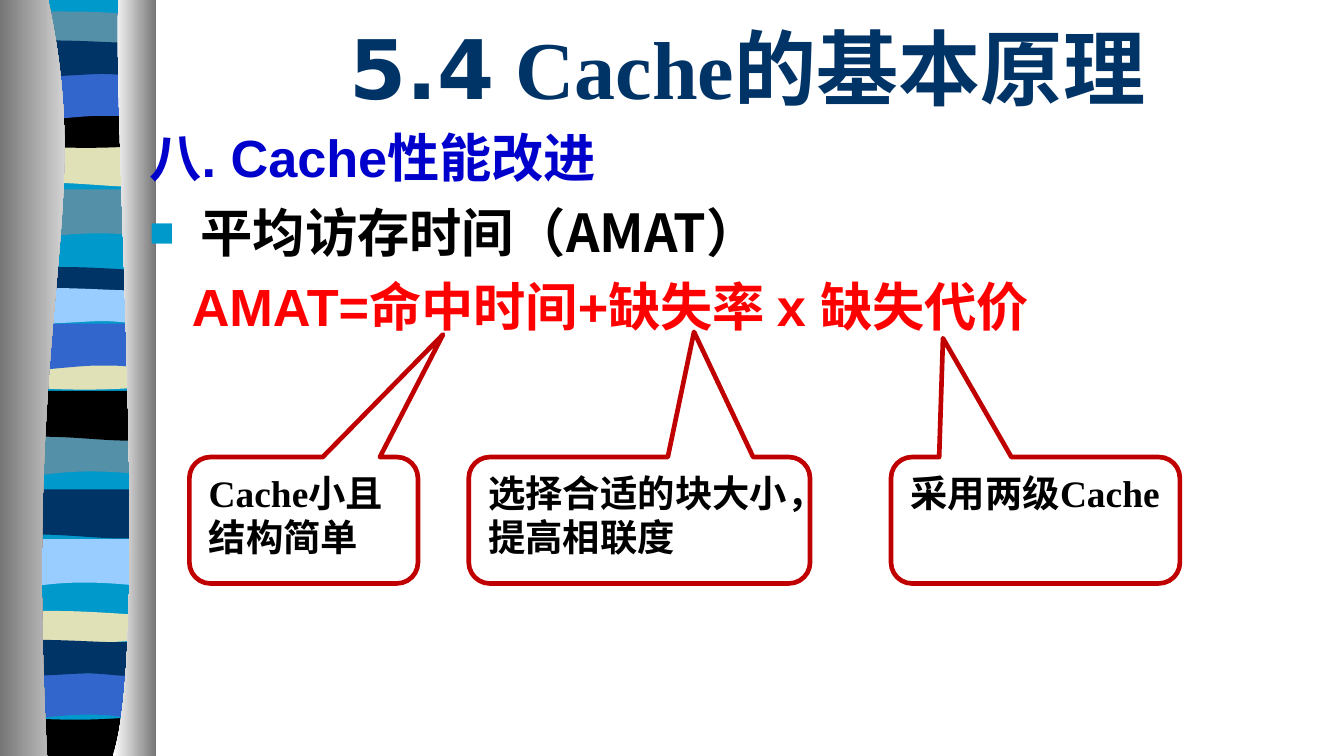
"""Build the slide on improving cache performance."""
from lxml.etree import SubElement
from pptx import Presentation
from pptx.dml.color import RGBColor
from pptx.enum.shapes import MSO_SHAPE
from pptx.enum.text import MSO_ANCHOR, MSO_AUTO_SIZE, PP_ALIGN
from pptx.oxml.ns import qn
from pptx.util import Cm, Pt

COLORS = {"cyan": "0099CC", "steel": "5490A8", "sand": "E1E1B7", "black": "000000",
          "royal": "3366CC", "navy": "003366", "sky": "99CCFF", "white": "FFFFFF",
          "gray": "767676", "blue": "0000CC", "red": "FF0000", "crimson": "C00000"}
WIDTH, HEIGHT = 25.4, 14.29
BAND_WIDTH = 2.44
CJK_FONT = "Noto Sans CJK SC"

TITLE = [("5.4", "DejaVu Sans"), (" Cache的基本原理", "Times New Roman")]
BODY = [
    {"text": "八. Cache性能改进", "font": "Arial", "color": "blue", "margin": 0,
     "before": 0, "spacing": 0.8},
    {"text": "平均访存时间（AMAT）", "font": CJK_FONT, "color": "black", "margin": 0.97,
     "before": 7, "spacing": 1.0, "bullet": "■"},
    {"text": "AMAT=命中时间+缺失率 x 缺失代价", "font": "Arial", "color": "red",
     "margin": 0.8, "before": 6, "spacing": 1.0},
]
CALLOUTS = [
    (3.58, 4.32, (0.61, -1.47), ["Cache小且", "结构简单"]),
    (8.86, 6.45, (0.16, -1.49), ["选择合适的块大小，", "提高相联度"]),
    (16.84, 5.46, (-0.32, -1.44), ["采用两级Cache"]),
]
FLAT_TOP = [[(1, 0)]]
FLAT_BOTTOM = [[(0, 0)]]
LIP_TOP = [[(0.61, 0.1), (0.79, 0), (1, 0)]]
EDGES = {
    "flat": (FLAT_TOP, FLAT_BOTTOM),
    "wave": (FLAT_TOP, [[(0.3, -0.18), (0.17, 0.13), (0, 0)]]),
    "dip": (FLAT_TOP, [[(0.83, 0.15), (0.34, -0.1), (0, 0)]]),
    "bulge": ([[(0.07, -0.1), (0.22, -0.08), (0.38, -0.08)],
               [(0.54, -0.08), (0.88, -0.03), (1, 0)]],
              [[(0.83, 0.08), (0.17, 0.08), (0, 0)]]),
    "lip": (LIP_TOP, [[(0.83, 0.1), (0.17, 0.1), (0, 0)]]),
    "base": (LIP_TOP, FLAT_BOTTOM),
    "arch": (FLAT_TOP, [[(0.84, -0.1), (0.78, -0.1), (0.61, -0.1)],
                        [(0.45, -0.1), (0.16, 0), (0, 0)]]),
    "drift": ([[(0.13, -0.1), (0.67, 0), (0.83, 0)], [(1.01, 0), (0.97, 0), (1, 0)]],
              [[(0.94, 0.1), (0.79, 0), (0.62, 0)], [(0.46, 0), (0.1, 0.1), (0, 0)]]),
}
BANDS = [
    ("flat", "cyan", 0.41, 0, 14.18),
    ("wave", "steel", 0.41, 3.58, 4.47), ("dip", "sand", 0.48, 2.59, 3.48),
    ("bulge", "steel", 0.48, 0.3, 0.76), ("lip", "black", 0.41, 2.11, 2.72),
    ("arch", "royal", 0.41, 1.37, 2.29), ("drift", "navy", 0.43, 0.81, 1.4),
    ("wave", "steel", 0.28, 8.08, 8.97), ("dip", "black", 0.38, 7.39, 8.28),
    ("bulge", "navy", 0.38, 5.13, 5.59), ("lip", "sand", 0.38, 6.68, 7.29),
    ("arch", "royal", 0.38, 6.12, 7.01), ("drift", "sky", 0.43, 5.49, 6.07),
    ("wave", "sky", 0.15, 10.19, 11.07), ("dip", "navy", 0.28, 9.25, 10.13),
    ("bulge", "sand", 0.2, 11.63, 12.09), ("base", "black", 0.25, 13.56, 14.29),
    ("arch", "royal", 0.1, 12.73, 13.61), ("drift", "navy", 0.15, 12.14, 12.73),
]
COLUMNS = [
    ((0.91, 0), [[(1.8, 4.11), (0.43, 5.64), (0.89, HEIGHT)], [(0, HEIGHT)], [(0, 0)]],
     ("gray", "white")),
    ((2.24, 0), [[(2.13, 2.36), (2.84, 12.32), (2.13, HEIGHT)], [(2.95, HEIGHT)],
                 [(2.95, 0)]], ("white", "gray")),
]


def rgb(name):
    return RGBColor.from_string(COLORS[name])


def add_outline(page, start, segments):
    """Draw one-point segments as lines and three-point segments as curves."""
    builder = page.shapes.build_freeform(Cm(start[0]), Cm(start[1]), scale=1.0)
    builder.add_line_segments([(Cm(x), Cm(y)) for part in segments for x, y in part])
    shape = builder.convert_to_shape()
    lines = iter(list(shape.element.iter(qn("a:lnTo"))))
    for segment in segments:
        steps = [next(lines) for _ in segment]
        if len(steps) == 3:
            steps[0].tag = qn("a:cubicBezTo")
            for step in steps[1:]:
                steps[0].append(step[0])
                step.getparent().remove(step)
    shape.shadow.inherit = False
    shape.line.fill.background()
    return shape


def add_band(page, style, color, left, top, bottom):
    def shift(segments, level):
        return [[(left + x * BAND_WIDTH, level + y) for x, y in part] for part in segments]

    upper, lower = EDGES[style]
    side = [[(1, 0)]]
    band = add_outline(page, (left, top),
                       shift(upper, top) + shift(side, bottom) + shift(lower, bottom))
    band.fill.solid()
    band.fill.fore_color.rgb = rgb(color)


def add_column(page, start, segments, shades):
    column = add_outline(page, start, segments)
    column.fill.gradient()
    column.fill.gradient_angle = 0
    for stop, shade in zip(column.fill.gradient_stops, shades):
        stop.color.rgb = rgb(shade)


def add_span(para, text, font, size, color):
    span = para.add_run()
    span.text = text
    span.font.size, span.font.bold = Pt(size), True
    span.font.color.rgb = rgb(color)
    span.font.name = font
    SubElement(span.font._element, qn("a:ea"), typeface=CJK_FONT)


def set_bullet(para, margin, bullet):
    properties = para._p.get_or_add_pPr()
    properties.set("marL", str(Cm(margin)))
    properties.set("indent", str(-Cm(margin) if bullet else 0))
    if not bullet:
        SubElement(properties, qn("a:buNone"))
        return
    color = SubElement(properties, qn("a:buClr"))
    SubElement(color, qn("a:srgbClr"), val=COLORS["cyan"])
    SubElement(properties, qn("a:buSzPct"), val="80000")
    SubElement(properties, qn("a:buFont"), typeface="Arial")
    SubElement(properties, qn("a:buChar"), char=bullet)


def place(page, box, left, top, width, height, anchor):
    box.left, box.top, box.width, box.height = map(Cm, (left, top, width, height))
    frame = box.text_frame
    frame.word_wrap, frame.auto_size = True, MSO_AUTO_SIZE.NONE
    frame.vertical_anchor = anchor
    page.shapes._spTree.append(box.element)
    return frame


def fill_text(page):
    frame = place(page, page.shapes.title, 3.33, 0.23, 21.59, 2.06, MSO_ANCHOR.MIDDLE)
    para = frame.paragraphs[0]
    para.alignment = PP_ALIGN.CENTER
    for text, font in TITLE:
        add_span(para, text, font, 44, "navy")
    frame = place(page, page.placeholders[1], 2.57, 2.46, 22.83, 11.61, MSO_ANCHOR.TOP)
    for index, item in enumerate(BODY):
        para = frame.add_paragraph() if index else frame.paragraphs[0]
        set_bullet(para, item["margin"], item.get("bullet"))
        para.line_spacing, para.space_before = item["spacing"], Pt(item["before"])
        add_span(para, item["text"], item["font"], 28, item["color"])


def add_callout(page, left, width, tip, lines):
    box = page.shapes.add_shape(MSO_SHAPE.ROUNDED_RECTANGULAR_CALLOUT,
                                Cm(left), Cm(8.64), Cm(width), Cm(2.39))
    box.adjustments[0], box.adjustments[1] = tip
    box.shadow.inherit = False
    box.fill.background()
    box.line.color.rgb, box.line.width = rgb("crimson"), Pt(2.5)
    frame = box.text_frame
    frame.word_wrap, frame.vertical_anchor = False, MSO_ANCHOR.TOP
    for index, text in enumerate(lines):
        para = frame.add_paragraph() if index else frame.paragraphs[0]
        para.alignment = PP_ALIGN.LEFT
        add_span(para, text, "Times New Roman", 20, "black")


def main():
    deck = Presentation()
    deck.slide_width, deck.slide_height = Cm(WIDTH), Cm(HEIGHT)
    page = deck.slides.add_slide(deck.slide_layouts[1])
    for band in BANDS:
        add_band(page, *band)
    for column in COLUMNS:
        add_column(page, *column)
    fill_text(page)
    for callout in CALLOUTS:
        add_callout(page, *callout)
    deck.save("out.pptx")


if __name__ == "__main__":
    main()
